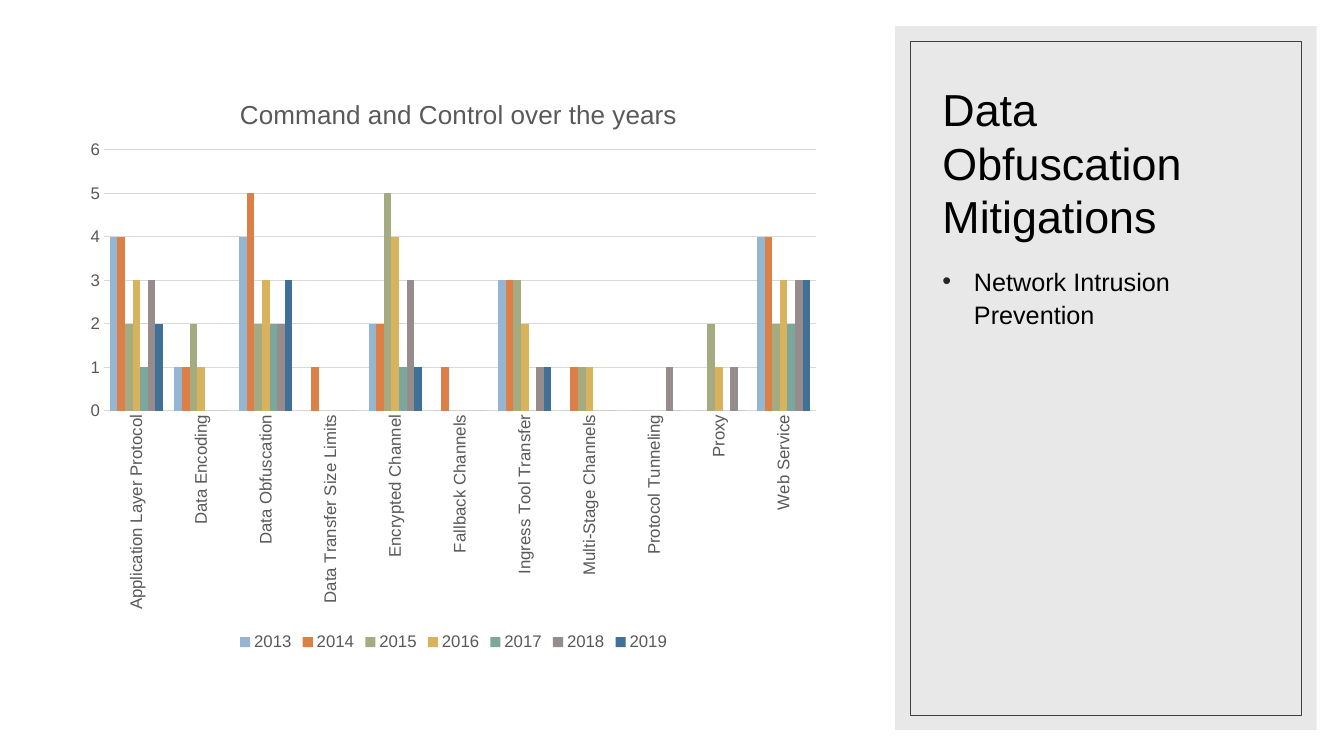
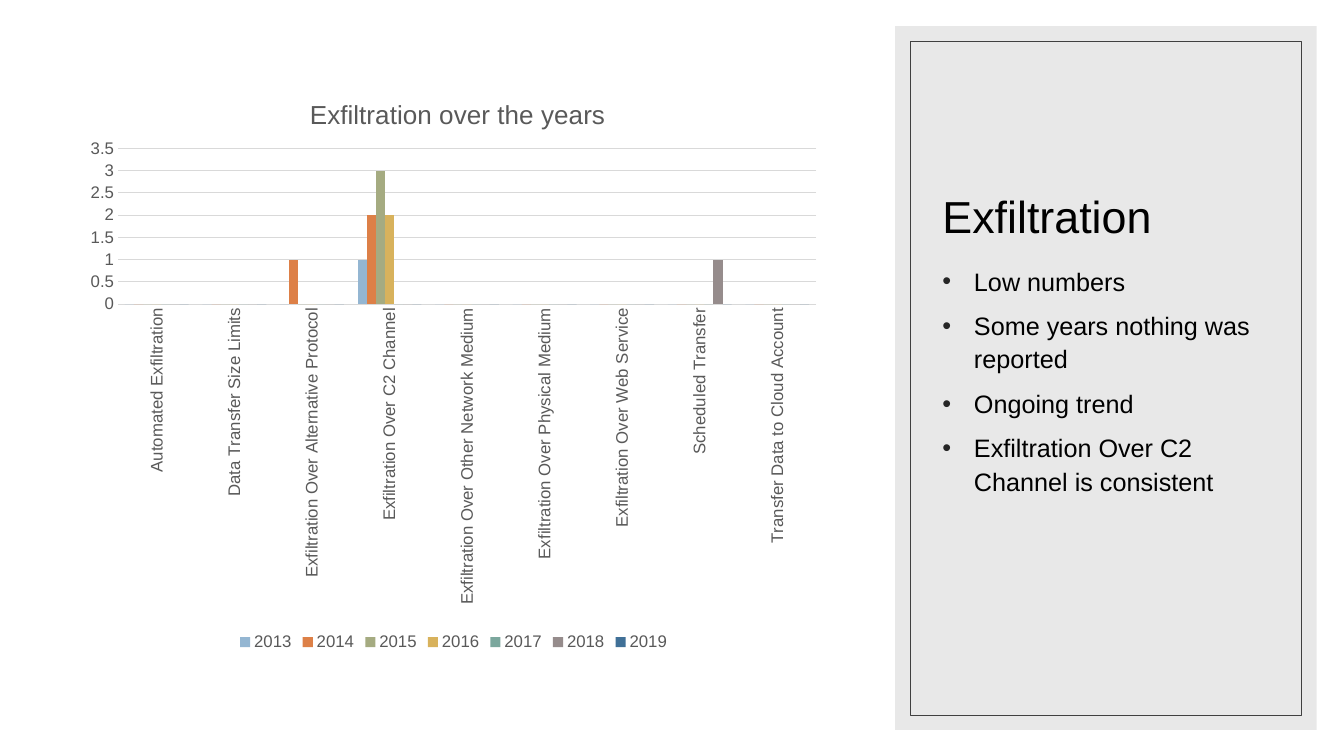
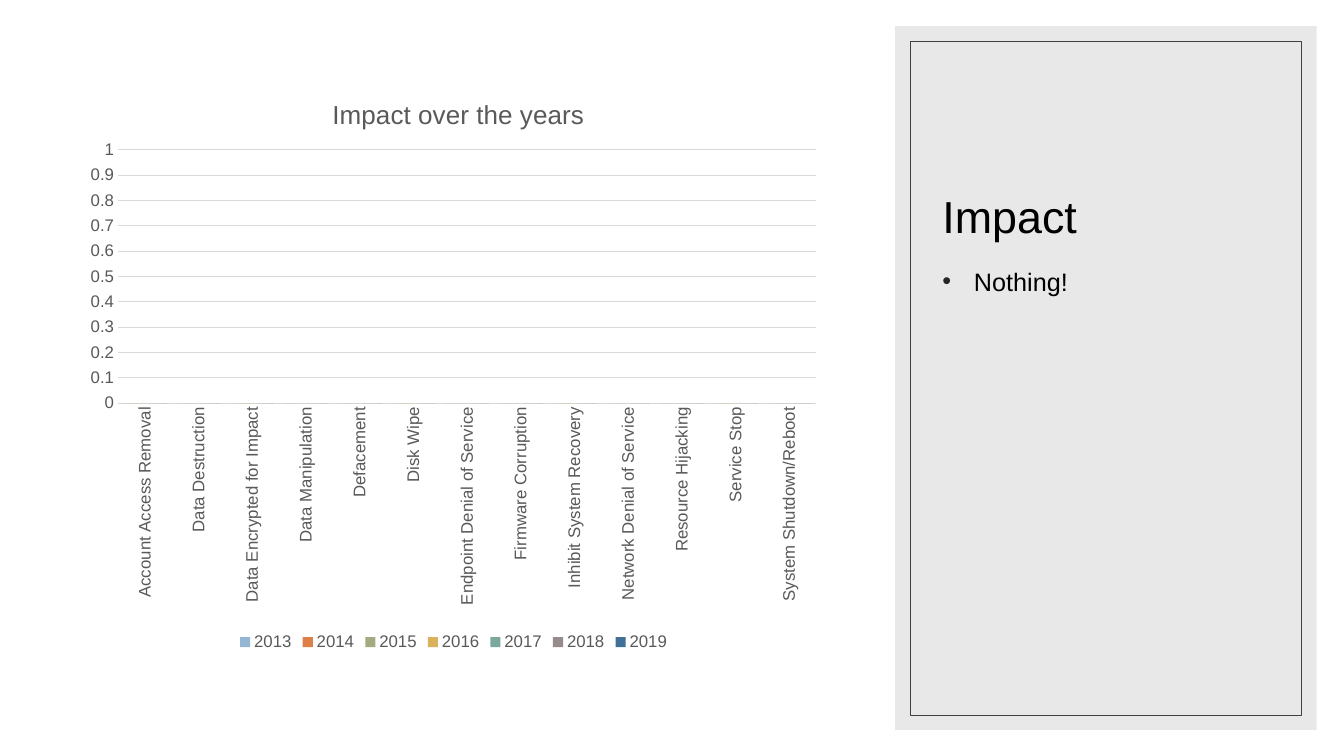
from lxml import etree
from pptx import Presentation
from pptx.chart.data import CategoryChartData
from pptx.dml.color import RGBColor
from pptx.enum import chart as chart_enum, shapes, text
from pptx.oxml import parse_xml
from pptx.oxml.ns import nsdecls, qn
from pptx.util import Pt

FONT = "Arial"
BLACK = RGBColor(0x00, 0x00, 0x00)
GRAY = RGBColor(0x59, 0x59, 0x59)
LIGHT_GRAY = RGBColor(0xD9, 0xD9, 0xD9)
FRAME_GRAY = RGBColor(0x40, 0x40, 0x40)
BULLET_GRAY = RGBColor(0x26, 0x26, 0x26)
YEAR_COLORS = {
    "2013": RGBColor(0x94, 0xB6, 0xD2),
    "2014": RGBColor(0xDD, 0x80, 0x47),
    "2015": RGBColor(0xA5, 0xAB, 0x81),
    "2016": RGBColor(0xD8, 0xB2, 0x5C),
    "2017": RGBColor(0x7B, 0xA7, 0x9D),
    "2018": RGBColor(0x96, 0x8C, 0x8C),
    "2019": RGBColor(0x40, 0x70, 0x97),
}

SLIDE_SIZE = (960, 540)
PANEL_BOX = (639.4, 18.7, 301, 502.6)
CHART_BOX = (54, 48, 540, 420)
FRAME_INSET = 10.6
TEXT_INSET = 26.6
PLOT_RIGHT = 529

SLIDES = [
    {
        "title": "Data Obfuscation Mitigations",
        "bullets": ["Network Intrusion Prevention"],
        "chart_title": "Command and Control over the years",
        "title_left": 114,
        "plot": (20.3, 59, 245.5),
        "scale": (6, 1),
        "values": {
            "Application Layer Protocol": (4, 4, 2, 3, 1, 3, 2),
            "Data Encoding": (1, 1, 2, 1, 0, 0, 0),
            "Data Obfuscation": (4, 5, 2, 3, 2, 2, 3),
            "Data Transfer Size Limits": (0, 1, 0, 0, 0, 0, 0),
            "Encrypted Channel": (2, 2, 5, 4, 1, 3, 1),
            "Fallback Channels": (0, 1, 0, 0, 0, 0, 0),
            "Ingress Tool Transfer": (3, 3, 3, 2, 0, 1, 1),
            "Multi-Stage Channels": (0, 1, 1, 1, 0, 0, 0),
            "Protocol Tunneling": (0, 0, 0, 0, 0, 1, 0),
            "Proxy": (0, 0, 2, 1, 0, 1, 0),
            "Web Service": (4, 4, 2, 3, 2, 3, 3),
        },
    },
    {
        "title": "Exfiltration",
        "bullets": [
            "Low numbers",
            "Some years nothing was reported",
            "Ongoing trend",
            "Exfiltration Over C2 Channel is consistent",
        ],
        "chart_title": "Exfiltration over the years",
        "title_left": 164,
        "plot": (30.3, 58, 169.3),
        "scale": (3.5, 0.5),
        "values": {
            "Automated Exfiltration": (0,) * 7,
            "Data Transfer Size Limits": (0,) * 7,
            "Exfiltration Over Alternative Protocol": (0, 1, 0, 0, 0, 0, 0),
            "Exfiltration Over C2 Channel": (1, 2, 3, 2, 0, 0, 0),
            "Exfiltration Over Other Network Medium": (0,) * 7,
            "Exfiltration Over Physical Medium": (0,) * 7,
            "Exfiltration Over Web Service": (0,) * 7,
            "Scheduled Transfer": (0, 0, 0, 0, 0, 1, 0),
            "Transfer Data to Cloud Account": (0,) * 7,
        },
    },
    {
        "title": "Impact",
        "bullets": ["Nothing!"],
        "chart_title": "Impact over the years",
        "title_left": 180,
        "plot": (30.3, 59, 240),
        "scale": (1, 0.1),
        "values": dict.fromkeys([
            "Account Access Removal",
            "Data Destruction",
            "Data Encrypted for Impact",
            "Data Manipulation",
            "Defacement",
            "Disk Wipe",
            "Endpoint Denial of Service",
            "Firmware Corruption",
            "Inhibit System Recovery",
            "Network Denial of Service",
            "Resource Hijacking",
            "Service Stop",
            "System Shutdown/Reboot",
        ], (0,) * 7),
    },
]


def style_font(font, size, color):
    font.name = FONT
    font.size = Pt(size)
    font.bold = False
    font.color.rgb = color


def place(shape, left, top, width, height):
    shape.left, shape.top = Pt(left), Pt(top)
    shape.width, shape.height = Pt(width), Pt(height)


def add_rectangle(slide, left, top, width, height):
    shape = slide.shapes.add_shape(
        shapes.MSO_SHAPE.RECTANGLE, Pt(left), Pt(top), Pt(width), Pt(height))
    shape.shadow.inherit = False
    return shape


def build_layout_panel(layout, slide, box):
    left, top, width, height = box
    panel = add_rectangle(slide, *box)
    panel.fill.solid()
    panel.fill.fore_color.rgb = LIGHT_GRAY
    panel.line.fill.background()
    color = panel.fill._xPr.find(".//" + qn("a:srgbClr"))
    etree.SubElement(color, qn("a:alpha")).set("val", "60000")

    frame = add_rectangle(slide, left + FRAME_INSET, top + FRAME_INSET,
                          width - 2 * FRAME_INSET, height - 2 * FRAME_INSET)
    frame.fill.background()
    frame.line.color.rgb = FRAME_GRAY
    frame.line.width = Pt(0.5)
    for position, shape in enumerate((panel, frame), start=2):
        layout.shapes.element.insert(position, shape.element)

    text_left, text_width = left + TEXT_INSET, width - 2 * TEXT_INSET
    title, body = layout.placeholders[0], layout.placeholders[1]
    place(title, text_left, top + 28.8, text_width, 129.6)
    place(body, text_left, top + 165.6, text_width, 283.7)


def set_bullet(paragraph):
    properties = paragraph._p.get_or_add_pPr()
    properties.set("marL", str(Pt(22.5)))
    properties.set("indent", str(-Pt(22.5)))
    color = etree.SubElement(properties, qn("a:buClr"))
    etree.SubElement(color, qn("a:srgbClr")).set("val", str(BULLET_GRAY))
    etree.SubElement(properties, qn("a:buFont")).set("typeface", FONT)
    etree.SubElement(properties, qn("a:buChar")).set("char", "•")


def fill_panel(slide, title, bullets):
    title_frame = slide.shapes.title.text_frame
    title_frame.text = title
    title_frame.vertical_anchor = text.MSO_ANCHOR.BOTTOM
    title_frame.paragraphs[0].alignment = text.PP_ALIGN.LEFT
    body_frame = slide.placeholders[1].text_frame
    body_frame.text = "\n".join(bullets)
    for paragraph in body_frame.paragraphs:
        paragraph.line_spacing = 1.1
        paragraph.space_before = Pt(8)
        set_bullet(paragraph)
    for frame, size in ((title_frame, 32), (body_frame, 18)):
        frame.word_wrap = True
        frame.auto_size = text.MSO_AUTO_SIZE.NONE
        for paragraph in frame.paragraphs:
            style_font(paragraph.runs[0].font, size, BLACK)


def layout_xml(box, **lengths):
    fractions = {"x": box[2], "y": box[3], "w": box[2], "h": box[3]}
    target = '<c:layoutTarget val="inner"/>' if "w" in lengths else ""
    modes = "".join(f'<c:{key}Mode val="edge"/>' for key in "xy")
    values = "".join(f'<c:{key} val="{length / fractions[key]:.4f}"/>'
                     for key, length in lengths.items())
    return parse_xml(f'<c:layout {nsdecls("c")}><c:manualLayout>{target}{modes}'
                     f'{values}</c:manualLayout></c:layout>')


def set_layout(parent, layout, position):
    for existing in parent.findall(qn("c:layout")):
        parent.remove(existing)
    parent.insert(position, layout)


def style_axes(chart, maximum, step):
    for axis in (chart.category_axis, chart.value_axis):
        axis.major_tick_mark = chart_enum.XL_TICK_MARK.NONE
        axis.minor_tick_mark = chart_enum.XL_TICK_MARK.NONE
        axis.format.line.fill.background()
        style_font(axis.tick_labels.font, 12, GRAY)
    label_body = chart.category_axis._element.find(qn("c:txPr")).find(qn("a:bodyPr"))
    label_body.set("rot", "-5400000")
    label_body.set("vert", "horz")
    value_axis = chart.value_axis
    value_axis.minimum_scale, value_axis.maximum_scale = 0, maximum
    value_axis.major_unit = step
    value_axis.has_major_gridlines = True
    value_axis.major_gridlines.format.line.color.rgb = LIGHT_GRAY
    value_axis.major_gridlines.format.line.width = Pt(0.75)


def add_year_chart(slide, box, content):
    data = CategoryChartData()
    data.categories = list(content["values"])
    for year, values in zip(YEAR_COLORS, zip(*content["values"].values())):
        data.add_series(year, values)
    chart = slide.shapes.add_chart(
        chart_enum.XL_CHART_TYPE.COLUMN_CLUSTERED,
        *(Pt(length) for length in box), data).chart
    style_font(chart.font, 10, BLACK)

    chart.has_title = True
    title = chart.chart_title
    title.text_frame.text = content["chart_title"]
    style_font(title.text_frame.paragraphs[0].runs[0].font, 18.6, GRAY)
    title.include_in_layout = False
    set_layout(title._element, layout_xml(box, x=content["title_left"], y=18), 1)

    chart.has_legend = True
    chart.legend.position = chart_enum.XL_LEGEND_POSITION.BOTTOM
    chart.legend.include_in_layout = False
    style_font(chart.legend.font, 12, GRAY)

    plot = chart.plots[0]
    plot.gap_width = 150
    plot.overlap = 0
    plot.vary_by_categories = False
    for series in plot.series:
        series.format.fill.solid()
        series.format.fill.fore_color.rgb = YEAR_COLORS[series.name]
    style_axes(chart, *content["scale"])
    left, top, bottom = content["plot"]
    set_layout(plot._element.getparent(),
               layout_xml(box, x=left, y=top, w=PLOT_RIGHT - left, h=bottom - top), 0)


def main():
    presentation = Presentation()
    presentation.slide_width, presentation.slide_height = map(Pt, SLIDE_SIZE)
    layout = presentation.slide_layouts[1]
    for number, content in enumerate(SLIDES):
        slide = presentation.slides.add_slide(layout)
        if number == 0:
            build_layout_panel(layout, slide, PANEL_BOX)
        fill_panel(slide, content["title"], content["bullets"])
        add_year_chart(slide, CHART_BOX, content)
    presentation.save("out.pptx")


if __name__ == "__main__":
    main()
